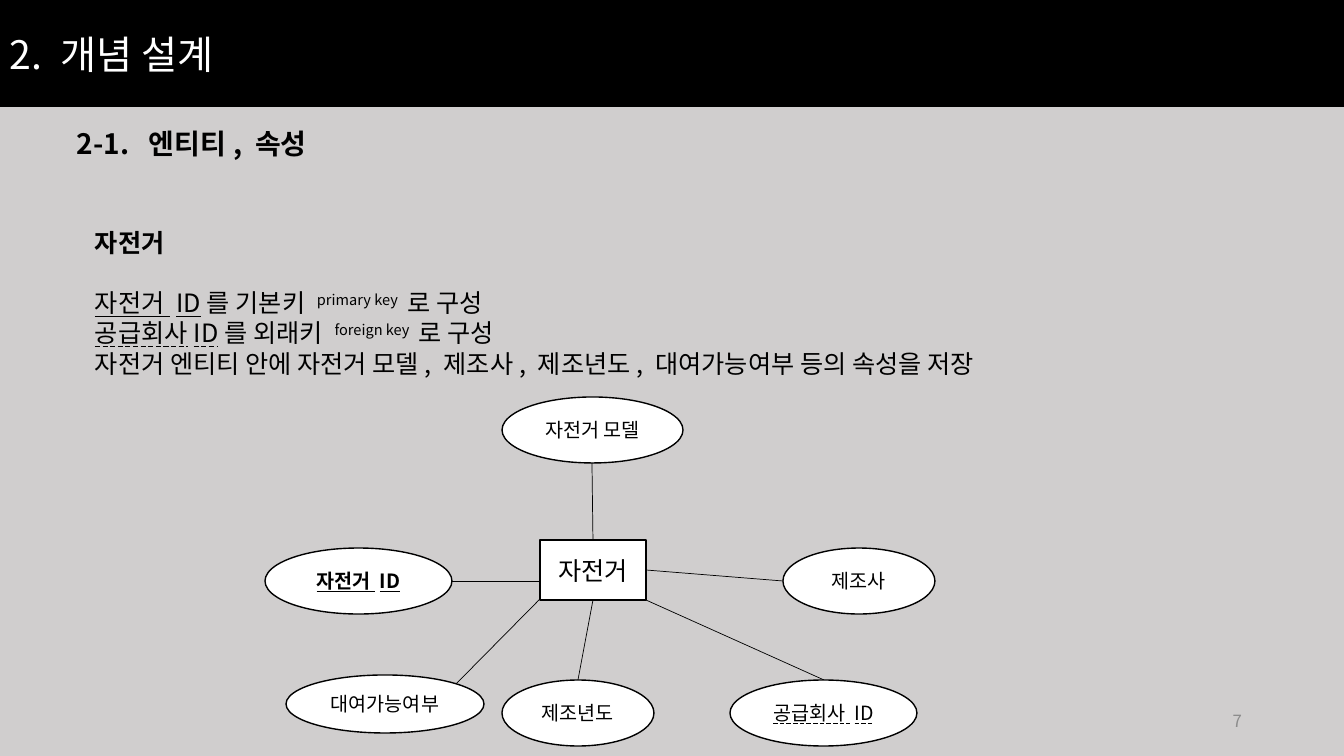
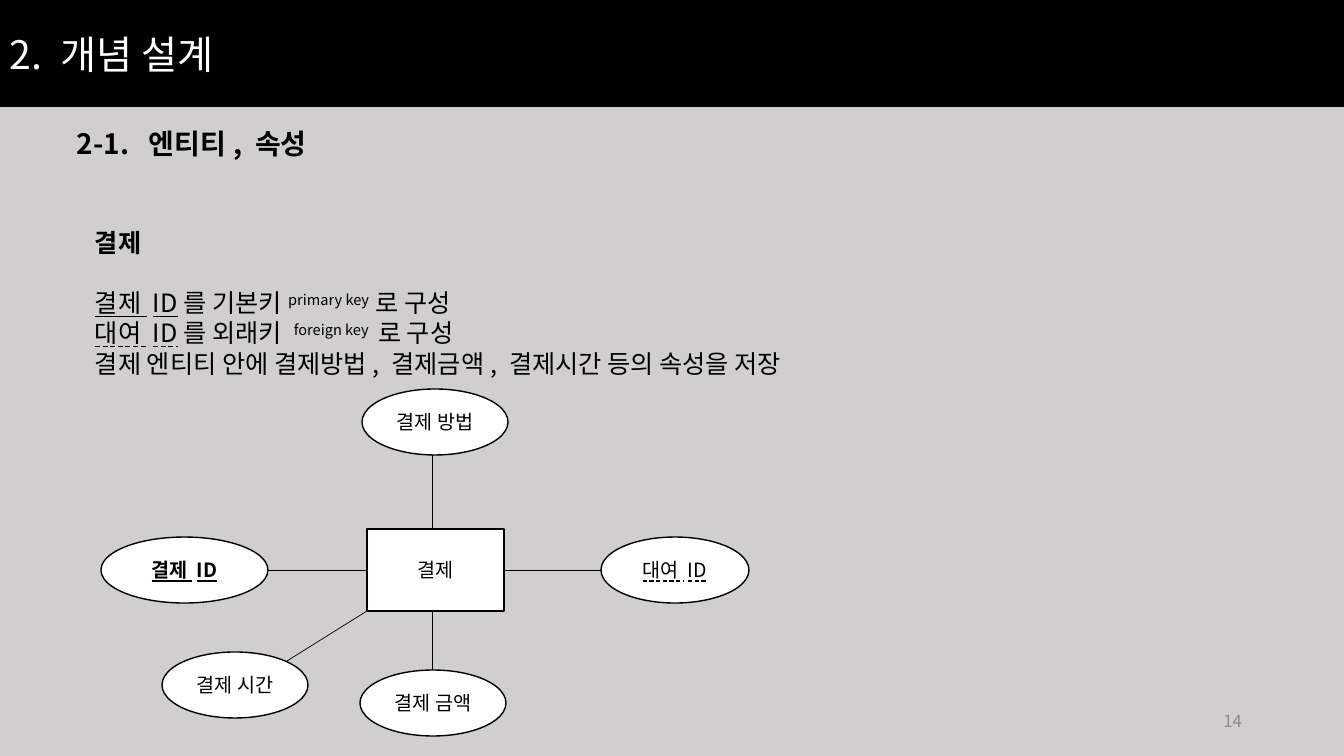
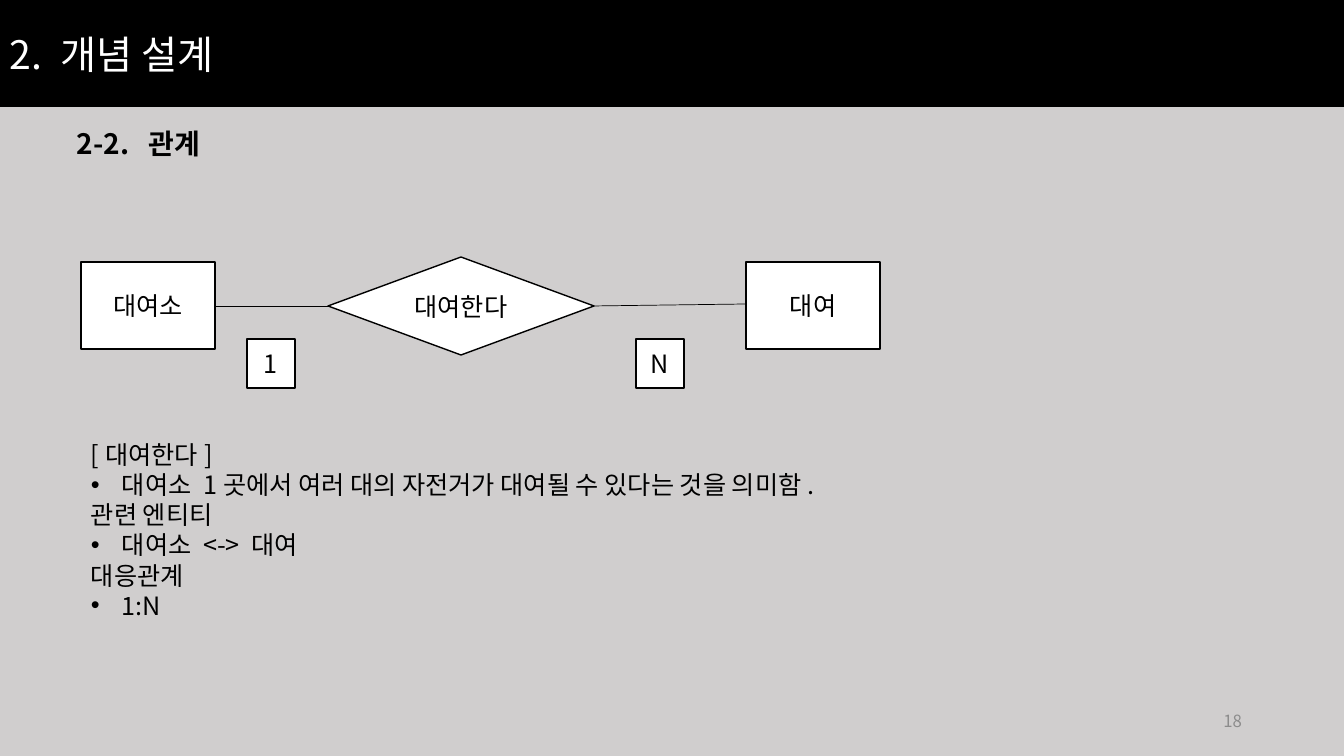
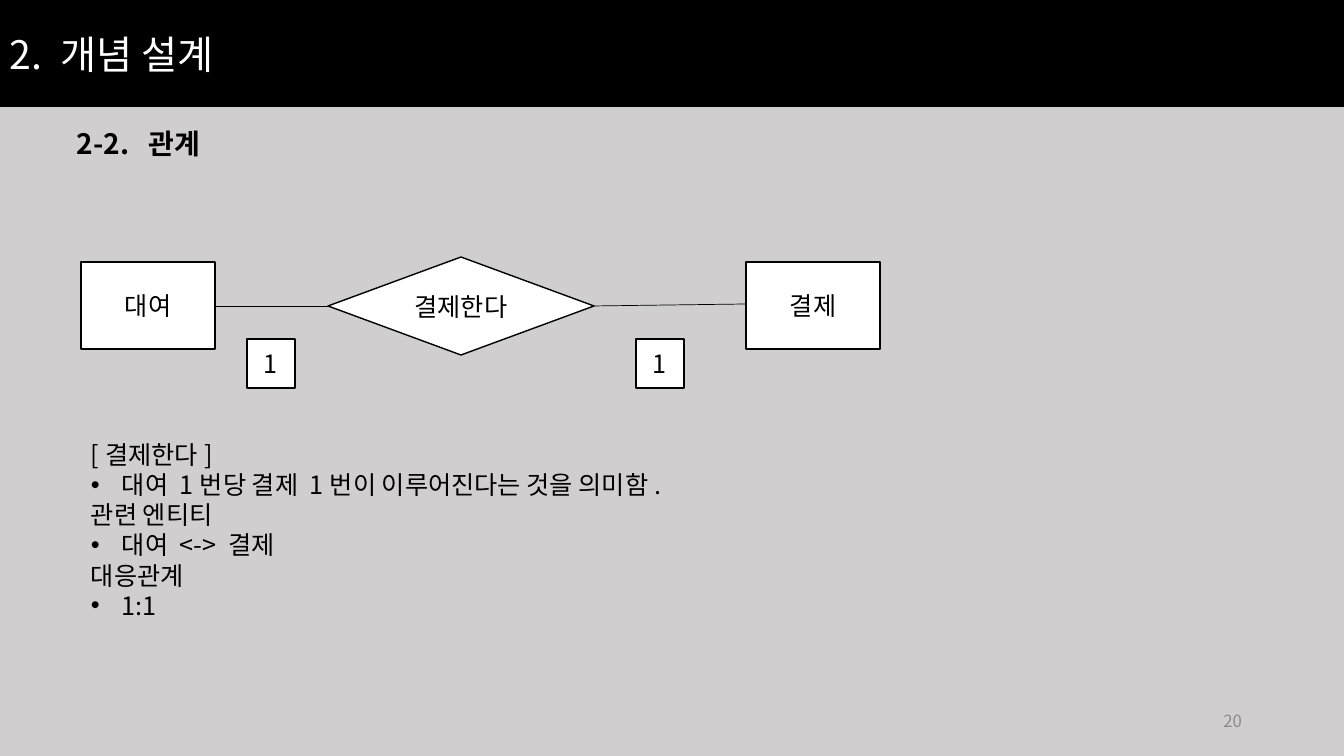
from lxml.etree import SubElement
from pptx import Presentation
from pptx.dml.color import RGBColor
from pptx.enum.shapes import MSO_CONNECTOR, MSO_SHAPE
from pptx.enum.text import MSO_ANCHOR, MSO_UNDERLINE, PP_ALIGN
from pptx.oxml.ns import qn
from pptx.util import Pt

PX = 12192000 / 1344
FONT = "Noto Sans CJK KR"
COLORS = {"page": "D0CECE", "ink": "000000", "paper": "FFFFFF", "number": "8C8C8C"}
SOLID, DASHED = MSO_UNDERLINE.SINGLE_LINE, MSO_UNDERLINE.DASH_LINE


def px(*lengths):
    return [round(length * PX) for length in lengths]


def add_text(slide, box, lines, size, color="ink", align=PP_ALIGN.LEFT,
             anchor=MSO_ANCHOR.TOP, kind=None, fill=None, outlined=False,
             bold=False, underline=None):
    """Add a text box, or a shape of the given kind, with one paragraph per line."""
    if kind is None:
        holder = slide.shapes.add_textbox(*px(*box))
    else:
        holder = slide.shapes.add_shape(kind, *px(*box))
        holder.shadow.inherit = False
        holder.fill.solid()
        holder.fill.fore_color.rgb = RGBColor.from_string(COLORS[fill])
        if outlined:
            holder.line.color.rgb = RGBColor.from_string(COLORS["ink"])
            holder.line.width = Pt(1)
        else:
            holder.line.fill.background()
    frame = holder.text_frame
    frame.word_wrap = True
    frame.vertical_anchor = anchor
    frame.text = "\n".join(lines)
    for paragraph in frame.paragraphs:
        paragraph.alignment = align
        for run in paragraph.runs:
            run.font.size = Pt(size)
            run.font.bold = bold
            run.font.underline = underline
            run.font.name = FONT
            run.font.color.rgb = RGBColor.from_string(COLORS[color])
            SubElement(run.font._element, qn("a:ea"), typeface=FONT)
    return holder


# Each attribute: label, box, bold, underline. Each link: start and end point.
ENTITIES = [
    {
        "page": 7,
        "name": "자전거", "box": (540, 540, 106, 60), "size": 18,
        "keys": [("자전거 ID", "를 기본키 ", "primary key ", SOLID),
                 ("공급회사ID", "를 외래키 ", "foreign key ", DASHED)],
        "summary": "자전거 엔티티 안에 자전거 모델, 제조사, 제조년도, 대여가능여부 등의 속성을 저장",
        "links": [(646, 570, 783, 581), (438, 581, 540, 581), (593, 600, 578, 680),
                  (592, 463, 593, 540), (540, 599, 456, 684), (646, 600, 824, 680)],
        "attributes": [
            ("자전거 ID", (265, 548, 187, 66), True, SOLID),
            ("자전거 모델", (502, 397, 181, 66), False, None),
            ("제조년도", (502, 680, 152, 66), False, None),
            ("제조사", (783, 548, 152, 66), False, None),
            ("대여가능여부", (286, 675, 198, 58), False, None),
            ("공급회사 ID", (730, 680, 187, 66), False, DASHED),
        ],
    },
    {
        "page": 14,
        "name": "결제", "box": (367, 529, 137, 82), "size": 14,
        "keys": [("결제 ID", "를 기본키", "primary key", SOLID),
                 ("대여 ID", "를 외래키 ", "foreign key ", DASHED)],
        "summary": "결제 엔티티 안에 결제방법, 결제금액, 결제시간 등의 속성을 저장",
        "links": [(503, 570, 601, 570), (268, 570, 367, 570), (432, 611, 432, 670),
                  (432, 448, 432, 529), (287, 661, 367, 611)],
        "attributes": [
            ("결제 ID", (101, 537, 167, 66), True, SOLID),
            ("결제 방법", (362, 389, 146, 66), False, None),
            ("결제 금액", (360, 670, 146, 66), False, None),
            ("대여 ID", (601, 537, 148, 66), False, DASHED),
            ("결제 시간", (162, 652, 146, 66), False, None),
        ],
    },
]
RELATIONS = [
    {"page": 18, "verb": "대여한다", "ends": ("대여소", "대여"), "counts": ("1", "N"),
     "meaning": "대여소 1곳에서 여러 대의 자전거가 대여될 수 있다는 것을 의미함."},
    {"page": 20, "verb": "결제한다", "ends": ("대여", "결제"), "counts": ("1", "1"),
     "meaning": "대여 1번당 결제 1번이 이루어진다는 것을 의미함."},
]
RELATION_LINKS = [(215, 306, 328, 306), (593, 306, 746, 304)]

deck = Presentation()
deck.slide_width, deck.slide_height = px(1344, 756)
page_fill = deck.slide_master.background.fill
page_fill.solid()
page_fill.fore_color.rgb = RGBColor.from_string(COLORS["page"])

for topic in ENTITIES + RELATIONS:
    slide = deck.slides.add_slide(deck.slide_layouts[6])
    is_entity = "attributes" in topic

    add_text(slide, (0, 0, 1344, 107), ["2. 개념 설계"], 28, "paper",
             anchor=MSO_ANCHOR.MIDDLE, kind=MSO_SHAPE.RECTANGLE, fill="ink")
    heading = add_text(slide, (67, 122, 261, 44),
                       ["2-1.\t엔티티, 속성" if is_entity else "2-2.\t관계"], 20, bold=True)
    heading_props = heading.text_frame.paragraphs[0]._p.get_or_add_pPr()
    tab_stops = SubElement(heading_props, qn("a:tabLst"))
    SubElement(tab_stops, qn("a:tab"), pos=str(px(72)[0]), algn="l")
    add_text(slide, (950, 701, 302, 40), [str(topic["page"])], 12, "number",
             PP_ALIGN.RIGHT, MSO_ANCHOR.MIDDLE)

    for x1, y1, x2, y2 in topic["links"] if is_entity else RELATION_LINKS:
        link = slide.shapes.add_connector(MSO_CONNECTOR.STRAIGHT, *px(x1, y1, x2, y2))
        link.line.color.rgb = RGBColor.from_string(COLORS["ink"])
        link.line.width = Pt(0.5)
        SubElement(link._element.spPr, qn("a:effectLst"))

    if is_entity:
        nodes = [(topic["name"], topic["box"], MSO_SHAPE.RECTANGLE, topic["size"], False, None)]
        for label, box, bold, underline in topic["attributes"]:
            nodes.append((label, box, MSO_SHAPE.OVAL, 14, bold, underline))
    else:
        nodes = [(topic["verb"], (328, 257, 266, 98), MSO_SHAPE.DIAMOND, 18, False, None)]
        for label, left in zip(topic["ends"], (81, 746)):
            nodes.append((label, (left, 262, 134, 87), MSO_SHAPE.RECTANGLE, 18, False, None))
        for label, left in zip(topic["counts"], (247, 636)):
            nodes.append((label, (left, 339, 48, 49), MSO_SHAPE.RECTANGLE, 18, False, None))
    for label, box, kind, size, bold, underline in nodes:
        add_text(slide, box, [label], size, align=PP_ALIGN.CENTER, anchor=MSO_ANCHOR.MIDDLE,
                 kind=kind, fill="paper", outlined=True, bold=bold, underline=underline)

    if is_entity:
        # Vertical tabs split each key sentence into runs that are styled apart.
        sentences = ["".join(key[:3]) + "로 구성" for key in topic["keys"]]
        body = add_text(slide, (85, 222, 1002, 163),
                        [topic["name"], *sentences, topic["summary"]], 18)
        title, *key_lines, summary = body.text_frame.paragraphs
        title.runs[0].font.bold = True
        title.space_after = Pt(21.6)
        for line, (key, role, term, underline) in zip(key_lines, topic["keys"]):
            base = line.runs[0]
            base.text = key
            for part in (role, term, "로 구성"):
                run = line.add_run()
                run.text = part
                run.font.size = Pt(18)
                run.font.name = FONT
                run.font.color.rgb = RGBColor.from_string(COLORS["ink"])
                SubElement(run.font._element, qn("a:ea"), typeface=FONT)
                if part == term:
                    run.font._element.set("baseline", "30000")
            base.font.underline = underline
    else:
        body = add_text(slide, (81, 434, 798, 194),
                        [f"[{topic['verb']}]", topic["meaning"],
                         "관련 엔티티", " <-> ".join(topic["ends"]),
                         "대응관계", ":".join(topic["counts"])], 18)
        for item in body.text_frame.paragraphs[1::2]:
            props = item._p.get_or_add_pPr()
            props.set("marL", str(px(31)[0]))
            props.set("indent", str(px(-31)[0]))
            SubElement(props, qn("a:buFont"), typeface="Arial")
            SubElement(props, qn("a:buChar"), char="•")

deck.save("out.pptx")
